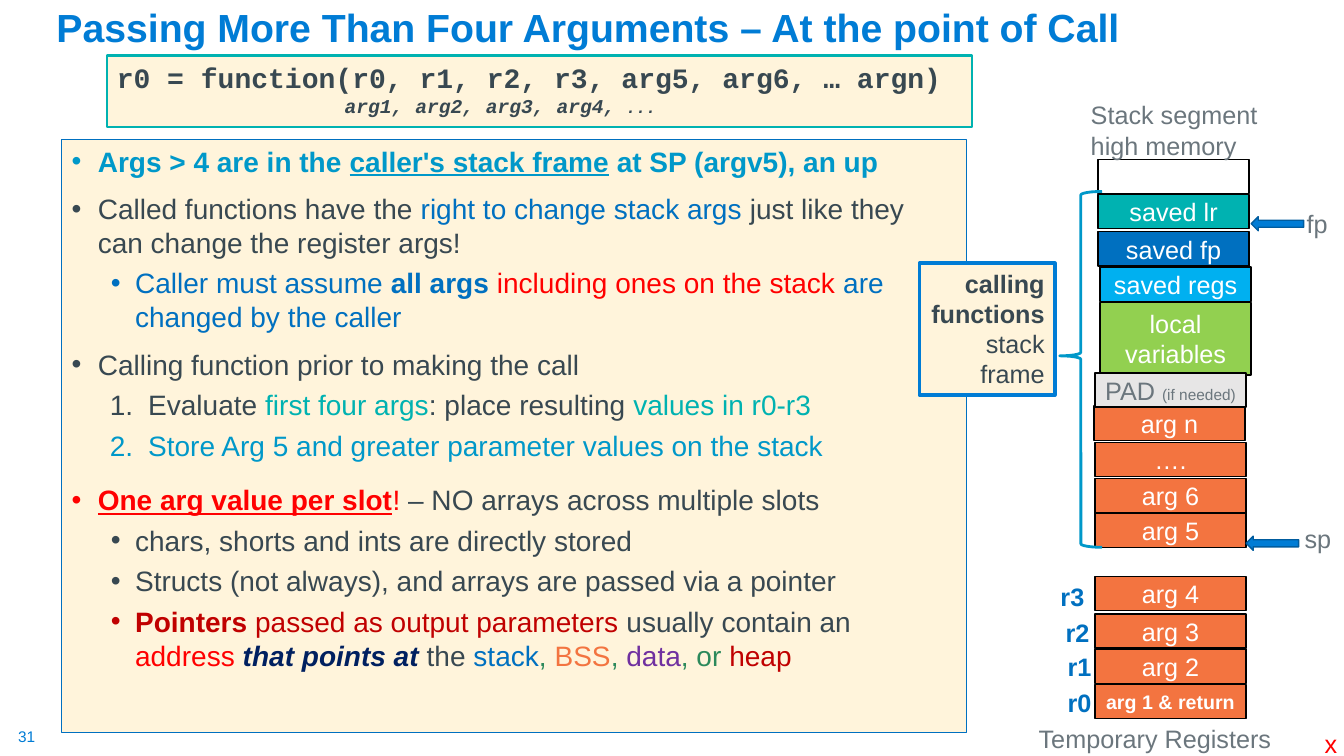
"""Build the slide on passing more than four arguments at the point of call."""
from lxml import etree
from pptx import Presentation, util as u
from pptx.dml.color import RGBColor
from pptx.enum import shapes, text
from pptx.oxml import ns

COLORS = {
    "title": "007CD5", "edge": "005C9E", "cream": "FFF4DB", "blue": "0070C0",
    "cyan": "0098C9", "teal": "00B2B1", "slate": "384851", "gray": "6B767D",
    "red": "FF0000", "crimson": "C00000", "navy": "002060", "green": "2C895B",
    "orange": "F37440", "purple": "7030A0", "sky": "00B0F0", "lime": "92D050",
    "pad": "E7E6E6", "white": "FFFFFF", "black": "000000",
}
LEFT, CENTER, RIGHT = text.PP_ALIGN.LEFT, text.PP_ALIGN.CENTER, text.PP_ALIGN.RIGHT
BULLET = {"top": (0.26, -0.26, 10), "sub": (0.63, -0.24, 5), "num": (0.76, -0.38, 5)}

BODY = [
    ("top", [("Args > 4 are in the ", "cyan", "b"), ("caller's stack frame", "cyan", "bu"),
             (" at SP (argv5), an up", "cyan", "b")]),
    ("top", [("Called functions have the ", "slate"), ("right to change stack args ", "blue"),
             ("just like they can change the register args!", "slate")]),
    ("sub", [("Caller must assume ", "blue"), ("all args ", "blue", "b"),
             ("including ones on the stack ", "red"), ("are changed by the caller", "blue")]),
    ("top", [("Calling function prior to making the call", "slate")]),
    ("num", [("Evaluate ", "slate"), ("first four args", "teal"),
             (": place resulting ", "slate"), ("values in r0-r3", "teal")]),
    ("num", [("Store Arg 5 and greater parameter values on the stack", "cyan")]),
    ("top", [("One arg value per slot", "red", "bu"), ("! ", "red"),
             ("– NO arrays across multiple slots", "slate")]),
    ("sub", [("chars, shorts and ints are directly stored", "slate")]),
    ("sub", [("Structs (not always), and arrays are passed via a pointer", "slate")]),
    ("sub", [("Pointers", "crimson", "b"), (" passed as output parameters ", "crimson"),
             ("usually contain an ", "slate"), ("address ", "red"),
             ("that points at ", "navy", "bi"), ("the ", "slate"), ("stack", "blue"),
             (", ", "green"), ("BSS", "orange"), (", ", "green"), ("data", "purple"),
             (", or ", "green"), ("heap", "crimson")]),
]
SLOTS = [
    (10.86, 5.09, "orange", "arg 5"), (10.89, 1.93, "teal", "saved lr"),
    (10.89, 2.3, "blue", "saved fp"), (10.86, 4.75, "orange", "arg 6"),
    (10.85, 4.03, "orange", "arg n"), (10.86, 6.44, "orange", "arg 2"),
    (10.86, 6.09, "orange", "arg 3"), (10.86, 5.72, "orange", "arg 4"),
    (10.86, 4.39, "orange", "…."), (10.91, 2.65, "sky", "saved regs"),
]
LABELS = [
    (12.84, 5.14, 0.47, "sp", "gray", ""), (12.86, 2.02, 0.41, "fp", "gray", ""),
    (10.49, 6.77, 0.44, "r0", "blue", "b"), (10.49, 6.41, 0.44, "r1", "blue", "b"),
    (10.47, 6.08, 0.44, "r2", "blue", "b"), (10.42, 5.72, 0.44, "r3", "blue", "b"),
    (13.04, 7.18, 0.33, "x", "red", ""),
]


def rgb(name):
    """Return the named colour."""
    return RGBColor.from_string(COLORS[name])


def add_runs(p, runs, size, font="Arial"):
    """Add runs of (text, colour, style letters, own size) to a paragraph."""
    for words, color, *rest in runs:
        style = rest[0] if rest else ""
        r = p.add_run()
        r.text = words
        r.font.name = font
        r.font.size = u.Pt(rest[1] if len(rest) > 1 else size)
        r.font.color.rgb = rgb(color)
        r.font.bold = "b" in style
        r.font.italic = "i" in style
        r.font.underline = "u" in style


def fill_text(tf, paragraphs, size, align=LEFT, font="Arial"):
    """Write the paragraphs into a text frame and return them."""
    for i, runs in enumerate(paragraphs):
        p = tf.add_paragraph() if i else tf.paragraphs[0]
        p.alignment = align
        add_runs(p, runs, size, font)
    return tf.paragraphs


def place(sp, left, top, width, height):
    """Move and size a shape in inches."""
    sp.left, sp.top = u.Inches(left), u.Inches(top)
    sp.width, sp.height = u.Inches(width), u.Inches(height)


def paint(sp, fill, line, weight):
    """Set the fill and outline of a shape."""
    if fill:
        sp.fill.solid()
        sp.fill.fore_color.rgb = rgb(fill)
    else:
        sp.fill.background()
    sp.line.color.rgb = rgb(line)
    sp.line.width = u.Pt(weight)


def add_shape(s, kind, box, fill, line, weight):
    """Add a flat preset shape."""
    sp = s.shapes.add_shape(kind, *map(u.Inches, box))
    sp.shadow.inherit = False
    paint(sp, fill, line, weight)
    sp.text_frame.word_wrap = True
    return sp


def add_slot(s, left, top, fill, paragraphs, size=18, height=0.34):
    """Add one stack or register slot."""
    sp = add_shape(s, shapes.MSO_SHAPE.RECTANGLE, (left, top, 1.5, height), fill, "black", 1)
    sp.text_frame.vertical_anchor = text.MSO_ANCHOR.MIDDLE
    fill_text(sp.text_frame, paragraphs, size, CENTER)


def add_panel(s, box, line, weight):
    """Add a cream panel with top-anchored text and return its text frame."""
    sp = add_shape(s, shapes.MSO_SHAPE.RECTANGLE, box, "cream", line, weight)
    sp.text_frame.vertical_anchor = text.MSO_ANCHOR.TOP
    return sp.text_frame


def add_label(s, box, paragraphs, size=18, align=LEFT, wrap=False):
    """Add a plain text box and return its text frame."""
    tf = s.shapes.add_textbox(*map(u.Inches, box)).text_frame
    tf.word_wrap = wrap
    fill_text(tf, paragraphs, size, align)
    return tf


def set_bullet(p, kind):
    """Set the level, indents, spacing and bullet of a list paragraph."""
    margin, indent, before = BULLET[kind]
    p.level = 0 if kind == "top" else 1
    p.space_before = u.Pt(before)
    pPr = p._p.get_or_add_pPr()
    pPr.set("marL", str(u.Inches(margin)))
    pPr.set("indent", str(u.Inches(indent)))
    if kind == "num":
        etree.SubElement(pPr, ns.qn("a:buAutoNum"), type="arabicPeriod")
    else:
        etree.SubElement(pPr, ns.qn("a:buFont"), typeface="Arial")
        etree.SubElement(pPr, ns.qn("a:buChar"), char="•")


def add_title(s):
    """Fill the title placeholder."""
    sp = s.shapes.title
    place(sp, 0.46, 0.02, 11.5, 0.54)
    tf = sp.text_frame
    tf.auto_size = text.MSO_AUTO_SIZE.NONE
    tf.vertical_anchor = text.MSO_ANCHOR.BOTTOM
    words = "Passing More Than Four Arguments – At the point of Call"
    fill_text(tf, [[(words, "title", "b")]], 28)[0].line_spacing = 0.9


def add_body(s):
    """Fill the body placeholder with the list."""
    sp = s.placeholders[1]
    place(sp, 0.61, 1.38, 8.98, 5.89)
    paint(sp, "cream", "blue", 0.75)
    tf = sp.text_frame
    tf.auto_size = text.MSO_AUTO_SIZE.NONE
    paragraphs = fill_text(tf, [runs for _, runs in BODY], 20)
    for p, (kind, _) in zip(paragraphs, BODY):
        set_bullet(p, kind)
    paragraphs[6].line_spacing = 1.2


def add_signature(s):
    """Add the function call panel."""
    tf = add_panel(s, (1.06, 0.55, 8.58, 0.71), "teal", 1.75)
    call = "r0 = function(r0, r1, r2, r3, arg5, arg6, … argn)"
    args = [("arg1, arg2, arg3, arg4,", "slate", "bi"), (" ...", "slate", "bi", 12)]
    fill_text(tf, [[(call, "slate", "b", 20)], args], 14, font="Courier New")
    tf.paragraphs[1]._p.get_or_add_pPr().set("marL", str(u.Inches(2.26)))


def add_frame_note(s):
    """Add the brace around the stack frame and its caption."""
    sp = add_shape(s, shapes.MSO_SHAPE.LEFT_BRACE, (10.51, 1.9, 0.42, 3.53), None, "cyan", 2)
    sp.adjustments[0], sp.adjustments[1] = 0.083, 0.462
    tf = add_panel(s, (9.12, 2.61, 1.34, 1.31), "title", 2.75)
    fill_text(tf, [[("calling functions ", "slate", "b"), ("stack frame", "slate")]], 18, RIGHT)


def main():
    """Build and save the slide."""
    prs = Presentation()
    prs.slide_width, prs.slide_height = u.Inches(13.33), u.Inches(7.5)
    s = prs.slides.add_slide(prs.slide_layouts[1])
    add_title(s)
    add_body(s)
    tf = add_label(s, (0.18, 7.21, 0.19, 0.19), [[("31", "title")]], 11)
    tf.margin_left = tf.margin_right = tf.margin_top = tf.margin_bottom = 0
    for left, top, fill, words in SLOTS:
        add_slot(s, left, top, fill, [[(words, "white")]])
    add_slot(s, 10.86, 6.79, "orange", [[("arg 1 & return", "white", "b")]], 14)
    add_slot(s, 10.89, 1.58, None, [])
    add_slot(s, 10.91, 3, "lime", [[("local", "white")], [("variables", "white")]], height=0.72)
    add_slot(s, 10.86, 3.7, "pad", [[("PAD ", "gray"), ("(if needed)", "gray", "", 11)]])
    for left, top in ((12.36, 5.32), (12.41, 2.15)):
        add_shape(s, shapes.MSO_SHAPE.LEFT_ARROW, (left, top, 0.52, 0.14), "title", "edge", 1)
    for left, top, width, words, color, style in LABELS:
        add_label(s, (left, top, width, 0.4), [[(words, color, style)]])
    add_signature(s)
    add_frame_note(s)
    add_label(s, (10.19, 7.13, 2.53, 0.4), [[("Temporary Registers", "gray")]], align=CENTER)
    add_label(s, (10.72, 0.94, 2, 0.71),
              [[("Stack segment", "gray")], [("high memory", "gray")]], wrap=True)
    prs.save("out.pptx")


main()
